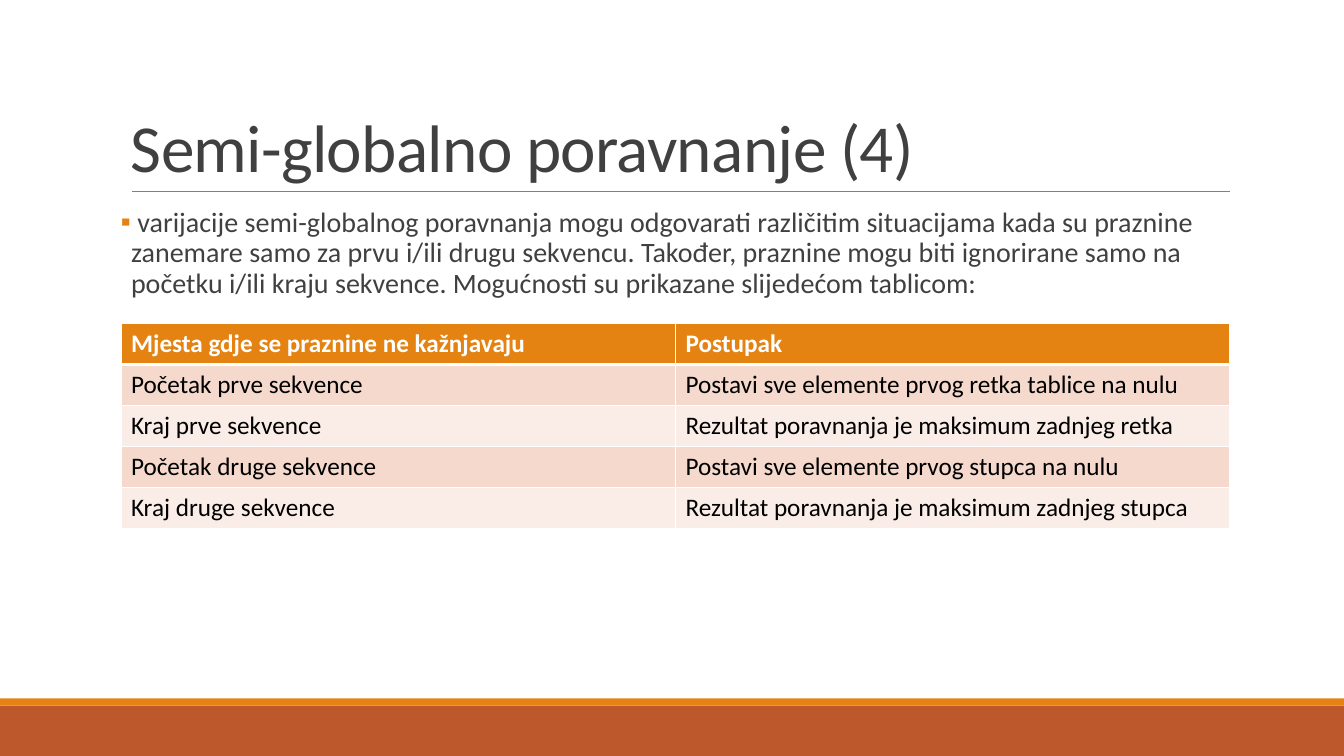
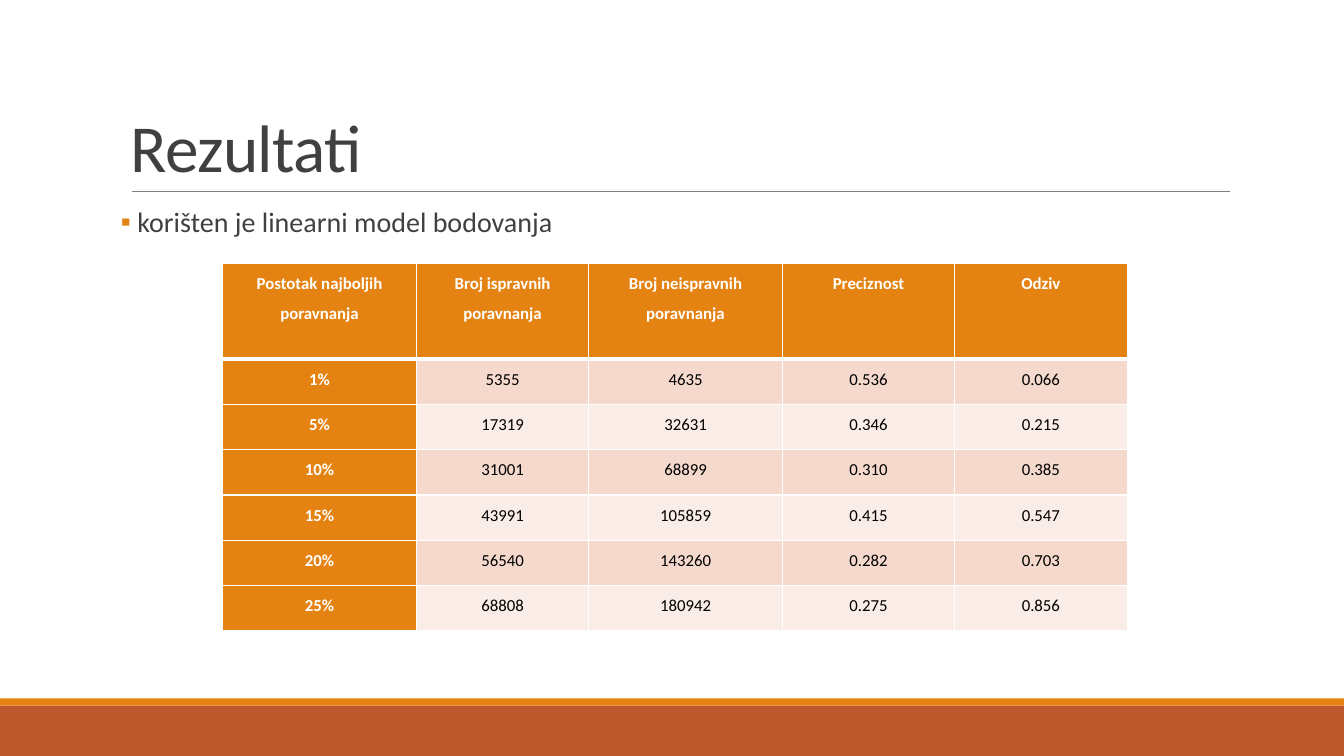
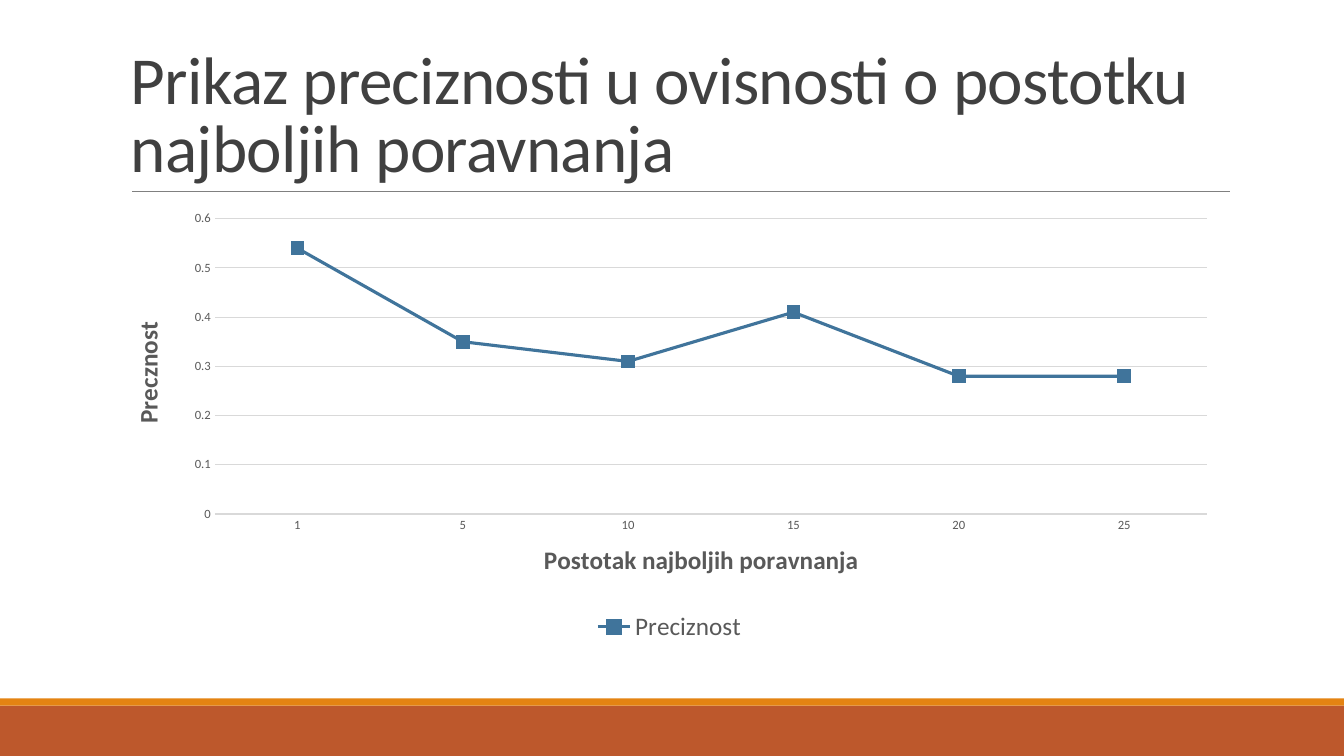
from lxml import etree
from pptx import Presentation
from pptx.chart.data import CategoryChartData
from pptx.dml.color import RGBColor
from pptx.enum.chart import XL_CHART_TYPE as ChartType, XL_LEGEND_POSITION as LegendPos
from pptx.enum.chart import XL_MARKER_STYLE as Marker, XL_TICK_MARK as Tick
from pptx.enum.shapes import MSO_CONNECTOR as Connector, MSO_SHAPE as Shape
from pptx.enum.text import MSO_ANCHOR as Anchor, PP_ALIGN as Align
from pptx.oxml.ns import qn
from pptx.util import Inches, Pt

COLORS = {
    "band": "BD582C", "accent": "E48312", "rule": "808080", "ink": "404040",
    "white": "FFFFFF", "black": "000000", "odd": "F5D9CC", "even": "FAEDE7",
    "series": "40749B", "axis": "595959", "grid": "D9D9D9",
}
FONT = "Calibri"
CHART_WIDTH, CHART_HEIGHT = 11.12, 4.4
BODY_CELL = {"margin_left": Inches(0.1), "margin_right": Inches(0.1),
             "margin_top": Inches(0.05), "margin_bottom": Inches(0.05)}
COMPACT_CELL = {"margin_left": Inches(0.07), "margin_right": Inches(0.07),
                "margin_top": 0, "margin_bottom": 0}


def rgb(name):
    return RGBColor.from_string(COLORS[name])


def apply(target, values):
    for attribute, value in values.items():
        setattr(target, attribute, value)


def style_font(font, size, color, bold=False):
    apply(font, {"name": FONT, "size": Pt(size), "bold": bold})
    font.color.rgb = rgb(color)


def style_line(line, color, width):
    line.color.rgb = rgb(color)
    line.width = Pt(width)


def place(parent, **inches):
    """Position a chart part by inches inside the chart area."""
    layout = parent.find(qn("c:layout"))
    if layout is None:
        layout = etree.Element(qn("c:layout"))
        parent.insert(0 if parent.find(qn("c:tx")) is None else 1, layout)
    manual = etree.SubElement(layout, qn("c:manualLayout"))
    if "w" in inches:
        etree.SubElement(manual, qn("c:layoutTarget"), val="inner")
    for axis in ("x", "y"):
        etree.SubElement(manual, qn(f"c:{axis}Mode"), val="edge")
    for key, length in inches.items():
        whole = CHART_WIDTH if key in "xw" else CHART_HEIGHT
        etree.SubElement(manual, qn(f"c:{key}"), val=str(length / whole))


class Deck:
    """Holds the shared style and the current slide."""

    def __init__(self):
        self.presentation = Presentation()
        apply(self.presentation, {"slide_width": Inches(13.33), "slide_height": Inches(7.5)})
        self.slide = None

    def start_slide(self, title):
        self.slide = self.presentation.slides.add_slide(self.presentation.slide_layouts[6])
        self.band(7, 0.5, "band")
        self.band(6.93, 0.07, "accent")
        self.rule(1.31, 12.2, 1.9)
        self.title(title)

    def band(self, top, height, color):
        band = self.slide.shapes.add_shape(
            Shape.RECTANGLE, 0, Inches(top), Inches(13.33), Inches(height))
        band.shadow.inherit = False
        band.fill.solid()
        band.fill.fore_color.rgb = rgb(color)
        band.line.fill.background()

    def rule(self, left, right, y):
        rule = self.slide.shapes.add_connector(
            Connector.STRAIGHT, Inches(left), Inches(y), Inches(right), Inches(y))
        style_line(rule.line, "rule", 0.5)
        etree.SubElement(rule._element.spPr, qn("a:effectLst"))

    def text(self, top, height, wording, size, frame_format, paragraph_format):
        box = self.slide.shapes.add_textbox(
            Inches(1.2), Inches(top), Inches(11), Inches(height))
        apply(box.text_frame, {"word_wrap": True, **frame_format})
        paragraph = box.text_frame.paragraphs[0]
        apply(paragraph, paragraph_format)
        run = paragraph.add_run()
        run.text = wording
        style_font(run.font, size, "ink")
        return paragraph, run

    def title(self, wording):
        _, run = self.text(0.31, 1.59, wording, 48,
                           {"vertical_anchor": Anchor.BOTTOM}, {"line_spacing": 0.85})
        run._r.get_or_add_rPr().set("spc", "-50")

    def bullet(self, wording):
        paragraph, _ = self.text(
            2.02, 4.4, wording, 20, {"margin_left": 0, "margin_right": 0},
            {"line_spacing": 0.9, "space_before": Pt(12), "space_after": Pt(2)})
        properties = paragraph._p.get_or_add_pPr()
        properties.set("marL", str(Inches(0.1)))
        properties.set("indent", str(-Inches(0.1)))
        bullet_color = etree.SubElement(properties, qn("a:buClr"))
        etree.SubElement(bullet_color, qn("a:srgbClr"), val=COLORS["accent"])
        etree.SubElement(properties, qn("a:buFont"), typeface=FONT)
        etree.SubElement(properties, qn("a:buChar"), char="▪")

    def table(self, left, top, widths, heights, rows, size, cell_format,
              paragraph_format, first_col=False):
        table = self.slide.shapes.add_table(
            len(rows), len(widths), Inches(left), Inches(top),
            Inches(sum(widths)), Inches(sum(heights))).table
        table.first_col = first_col
        for column, width in zip(table.columns, widths):
            column.width = Inches(width)
        for r, (row, height, wordings) in enumerate(zip(table.rows, heights, rows)):
            row.height = Inches(height)
            for c, (cell, wording) in enumerate(zip(row.cells, wordings)):
                heading = r == 0 or (first_col and c == 0)
                fill = "accent" if heading else "odd" if r % 2 else "even"
                apply(cell, cell_format)
                self.borders(cell, top=3 if r == 1 else 1, bottom=3 if r == 0 else 1)
                cell.fill.solid()
                cell.fill.fore_color.rgb = rgb(fill)
                paragraph = cell.text_frame.paragraphs[0]
                apply(paragraph, paragraph_format)
                run = paragraph.add_run()
                run.text = wording
                style_font(run.font, size, "white" if heading else "black", heading)

    def borders(self, cell, top, bottom):
        properties = cell._tc.get_or_add_tcPr()
        for side, width in {"L": 1, "R": 1, "T": top, "B": bottom}.items():
            border = etree.SubElement(properties, qn(f"a:ln{side}"), w=str(Pt(width)))
            fill = etree.SubElement(border, qn("a:solidFill"))
            etree.SubElement(fill, qn("a:srgbClr"), val=COLORS["white"])

    def axis(self, axis, title, x, y, rotation):
        apply(axis, {"major_tick_mark": Tick.NONE, "minor_tick_mark": Tick.NONE})
        style_font(axis.tick_labels.font, 9, "axis")
        frame = axis.axis_title.text_frame
        run = frame.paragraphs[0].add_run()
        run.text = title
        style_font(run.font, 18, "axis", True)
        body = frame._txBody.find(qn("a:bodyPr"))
        body.set("rot", str(rotation))
        body.set("vert", "horz")
        place(axis.axis_title._element, x=x, y=y)

    def line_chart(self, name, categories, values, category_title, value_title):
        data = CategoryChartData()
        data.categories = categories
        data.add_series(name, values)
        chart = self.slide.shapes.add_chart(
            ChartType.LINE_MARKERS, Inches(1.08), Inches(2.02),
            Inches(CHART_WIDTH), Inches(CHART_HEIGHT), data).chart
        apply(chart, {"has_title": False, "has_legend": True})
        style_font(chart.font, 10, "black")
        apply(chart.legend, {"position": LegendPos.BOTTOM, "include_in_layout": False})
        style_font(chart.legend.font, 18, "axis")
        chart.plots[0].vary_by_categories = False
        place(chart._chartSpace.find(".//" + qn("c:plotArea")),
              x=1.05, y=0.15, w=9.84, h=2.93)

        self.axis(chart.category_axis, category_title, 4.27, 3.32, 0)
        style_line(chart.category_axis.format.line, "grid", 0.75)
        value_axis = chart.value_axis
        self.axis(value_axis, value_title, 0.17, 1.13, -5400000)
        apply(value_axis, {"minimum_scale": 0, "maximum_scale": 0.6, "major_unit": 0.1,
                           "has_major_gridlines": True})
        apply(value_axis.tick_labels, {"number_format": "General",
                                       "number_format_is_linked": False})
        value_axis.format.line.fill.background()
        style_line(value_axis.major_gridlines.format.line, "grid", 0.75)

        series = chart.plots[0].series[0]
        series.smooth = False
        style_line(series.format.line, "series", 2.25)
        apply(series.marker, {"style": Marker.SQUARE, "size": 9})
        series.marker.format.fill.solid()
        series.marker.format.fill.fore_color.rgb = rgb("series")
        style_line(series.marker.format.line, "series", 0.75)


GAP_RULES = [
    ("Mjesta gdje se praznine ne kažnjavaju", "Postupak"),
    ("Početak prve sekvence", "Postavi sve elemente prvog retka tablice na nulu"),
    ("Kraj prve sekvence", "Rezultat poravnanja je maksimum zadnjeg retka"),
    ("Početak druge sekvence", "Postavi sve elemente prvog stupca na nulu"),
    ("Kraj druge sekvence", "Rezultat poravnanja je maksimum zadnjeg stupca"),
]
RESULT_HEADINGS = ("Postotak najboljih poravnanja", "Broj ispravnih poravnanja",
                   "Broj neispravnih poravnanja", "Preciznost", "Odziv")
RESULTS = [
    ("1%", "5355", "4635", "0.536", "0.066"),
    ("5%", "17319", "32631", "0.346", "0.215"),
    ("10%", "31001", "68899", "0.310", "0.385"),
    ("15%", "43991", "105859", "0.415", "0.547"),
    ("20%", "56540", "143260", "0.282", "0.703"),
    ("25%", "68808", "180942", "0.275", "0.856"),
]

deck = Deck()

deck.start_slide("Semi-globalno poravnanje (4)")
deck.bullet(" varijacije semi-globalnog poravnanja mogu odgovarati različitim situacijama "
            "kada su praznine zanemare samo za prvu i/ili drugu sekvencu. Također, praznine "
            "mogu biti ignorirane samo na početku i/ili kraju sekvence. Mogućnosti su "
            "prikazane slijedećom tablicom:")
deck.table(1.2, 3.21, [5.5] * 2, [2.03 / 5] * 5, GAP_RULES, 18, BODY_CELL, {})

deck.start_slide("Rezultati")
deck.bullet(" korišten je linearni model bodovanja")
deck.table(2.21, 2.61, [1.92, 1.71, 1.92, 1.71, 1.71], [0.95] + [0.45] * 6,
           [RESULT_HEADINGS] + RESULTS, 12, COMPACT_CELL,
           {"alignment": Align.CENTER, "line_spacing": 1.5}, first_col=True)

deck.start_slide("Prikaz preciznosti u ovisnosti o postotku najboljih poravnanja")
deck.line_chart("Preciznost", [row[0].rstrip("%") for row in RESULTS],
                [round(float(row[3]), 2) for row in RESULTS],
                "Postotak najboljih poravnanja", "Precznost")

deck.presentation.save("out.pptx")
